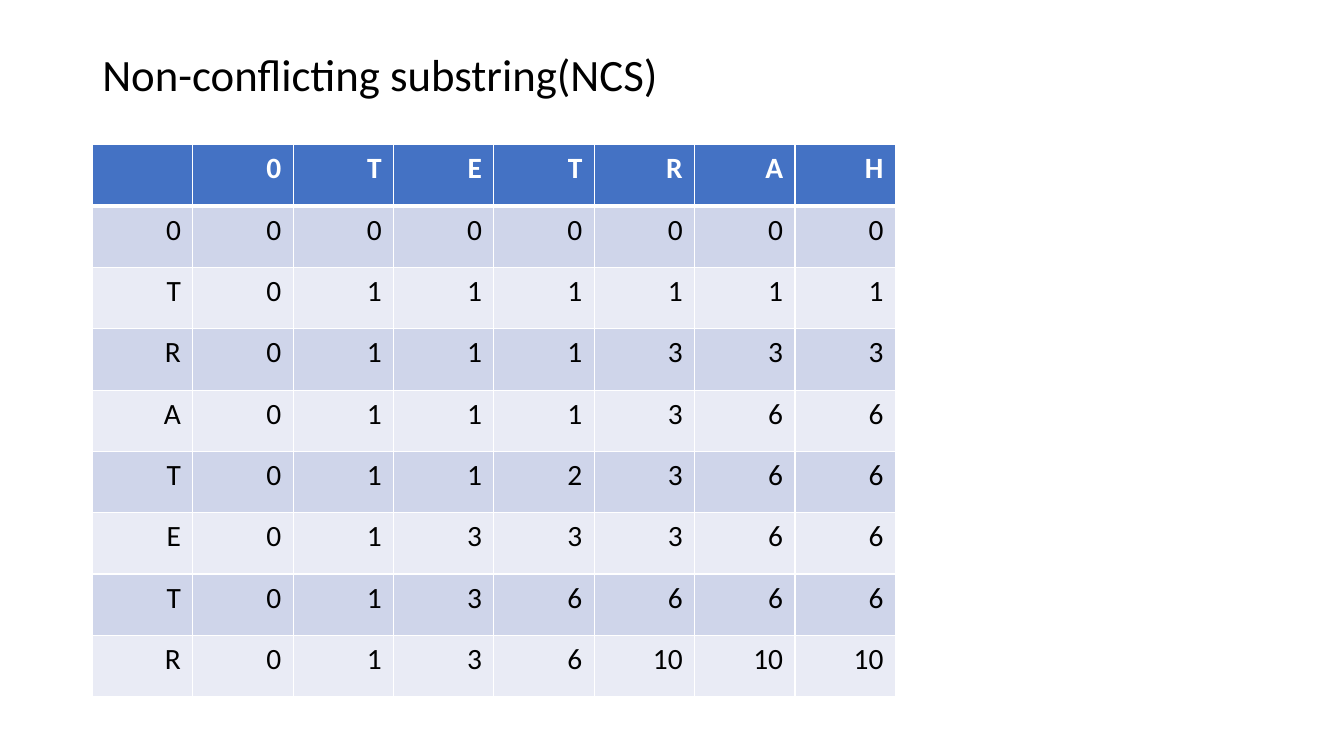
from dataclasses import dataclass

from lxml import etree
from pptx import Presentation, util as u
from pptx.dml.color import RGBColor
from pptx.enum import text
from pptx.oxml.ns import qn

TITLE = "Non-conflicting substring(NCS)"
COLUMNS = ["", "0", "T", "E", "T", "R", "A", "H"]
SCORES = [
    ("0", 0, 0, 0, 0, 0, 0, 0),
    ("T", 0, 1, 1, 1, 1, 1, 1),
    ("R", 0, 1, 1, 1, 3, 3, 3),
    ("A", 0, 1, 1, 1, 3, 6, 6),
    ("T", 0, 1, 1, 2, 3, 6, 6),
    ("E", 0, 1, 3, 3, 3, 6, 6),
    ("T", 0, 1, 3, 6, 6, 6, 6),
    ("R", 0, 1, 3, 6, 10, 10, 10),
]


@dataclass(frozen=True)
class Theme:
    font: str = "Calibri"
    title_size: int = 32
    cell_size: int = 21
    ink: str = "000000"
    white: str = "FFFFFF"
    header: str = "4472C4"
    bands: tuple = ("CFD5EA", "E9EBF5")
    thin: int = 1
    thick: int = 3


theme = Theme()


def write(tf, content, size=theme.cell_size, color=theme.ink, bold=False,
          align=text.PP_ALIGN.LEFT, spacing=1.0):
    p = tf.paragraphs[0]
    p.alignment = align
    p.line_spacing = spacing
    r = p.add_run()
    r.text = content
    r.font.name = theme.font
    r.font.size = u.Pt(size)
    r.font.bold = bold
    r.font.color.rgb = RGBColor.from_string(color)


def add_border(cell, side, width):
    tcPr = cell._tc.get_or_add_tcPr()
    ln = etree.SubElement(tcPr, qn(f"a:ln{side}"), w=str(u.Pt(width)))
    fill = etree.SubElement(ln, qn("a:solidFill"))
    etree.SubElement(fill, qn("a:srgbClr"), val=theme.white)


def add_title(s):
    sp = s.shapes.add_textbox(u.Cm(2.33), u.Cm(1.01), u.Cm(29.21), u.Cm(1.85))
    tf = sp.text_frame
    tf.word_wrap = True
    tf.vertical_anchor = text.MSO_ANCHOR.MIDDLE
    write(tf, TITLE, size=theme.title_size, spacing=0.9)


def add_score_table(s):
    rows = [COLUMNS] + SCORES
    table = s.shapes.add_table(len(rows), len(COLUMNS), u.Cm(2.33), u.Cm(3.65),
                               u.Cm(20.24), u.Cm(13.91)).table
    for i, row in enumerate(rows):
        head = i == 0
        for j, value in enumerate(row):
            cell = table.cell(i, j)
            cell.margin_left = cell.margin_right = u.Cm(0.3)
            cell.margin_top = cell.margin_bottom = u.Cm(0.15)
            add_border(cell, "L", theme.thin)
            add_border(cell, "R", theme.thin)
            add_border(cell, "T", theme.thick if i == 1 else theme.thin)
            add_border(cell, "B", theme.thick if head else theme.thin)
            cell.fill.solid()
            cell.fill.fore_color.rgb = RGBColor.from_string(
                theme.header if head else theme.bands[(i - 1) % 2])
            if value != "":
                write(cell.text_frame, str(value), bold=head,
                      color=theme.white if head else theme.ink,
                      align=text.PP_ALIGN.RIGHT)


def main():
    prs = Presentation()
    prs.slide_width, prs.slide_height = u.Cm(33.87), u.Cm(19.05)
    s = prs.slides.add_slide(prs.slide_layouts[6])
    add_title(s)
    add_score_table(s)
    prs.save("out.pptx")


if __name__ == "__main__":
    main()
